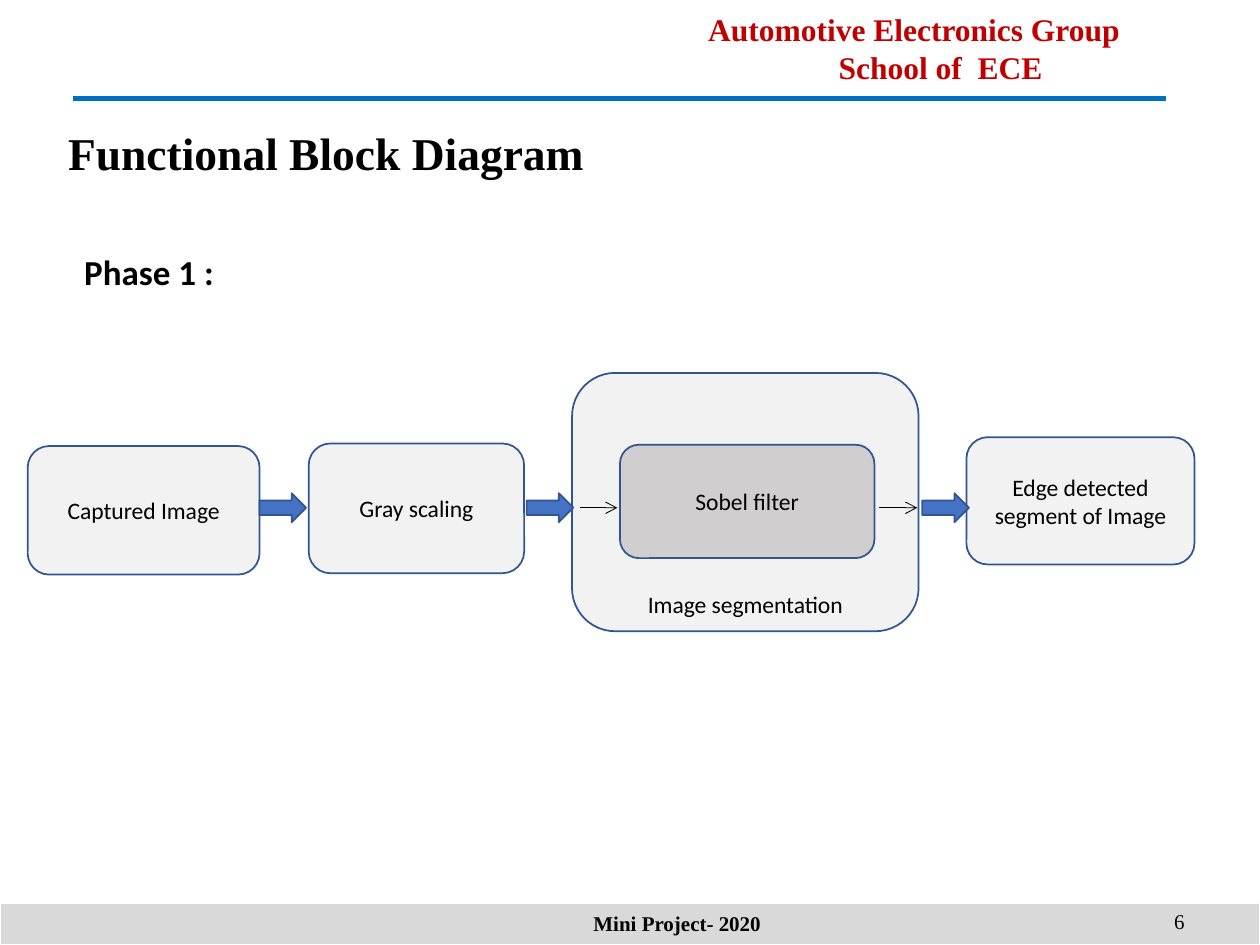
from pptx import Presentation
from pptx.dml.color import RGBColor
from pptx.enum.shapes import MSO_CONNECTOR, MSO_SHAPE
from pptx.enum.text import MSO_ANCHOR, PP_ALIGN
from pptx.oxml.ns import qn
from pptx.util import Inches, Pt
from lxml import etree

LEFT, MID, RIGHT = PP_ALIGN.LEFT, PP_ALIGN.CENTER, PP_ALIGN.RIGHT
TOP, CENTER, BASE = MSO_ANCHOR.TOP, MSO_ANCHOR.MIDDLE, MSO_ANCHOR.BOTTOM
RECT, ROUND, ARROW = MSO_SHAPE.RECTANGLE, MSO_SHAPE.ROUNDED_RECTANGLE, MSO_SHAPE.RIGHT_ARROW
STRAIGHT = MSO_CONNECTOR.STRAIGHT

WIDE, HIGH = 10, 7.5
SERIF, SANS = "Times New Roman", "Calibri"
BLACK, RED, BLUE = "000000", "C00000", "0070C0"
PALE, GRAY, EDGE = "F2F2F2", "D0CECE", "325491"
FLOW = 4.03  # height of the line along which the arrows run

# text, box, font, size, colour, bold, alignment, anchor, wrap
LABELS = [
    (["Automotive Electronics Group", "School of  ECE"], (5.17, 0.03, 4.17, 0.69),
     SERIF, 18, RED, True, MID, TOP, True),
    (["Mini Project- 2020"], (3.54, 7.13, 3.67, 0.4), SERIF, 12, BLACK, True, MID, CENTER, True),
    (["6"], (7.25, 7.11, 2.25, 0.4), SERIF, 12, BLACK, False, RIGHT, CENTER, True),
    (["Functional Block Diagram"], (0.42, 0.94, 4.34, 0.54),
     SERIF, 26, BLACK, True, MID, TOP, False),
    (["Phase 1 :"], (0.57, 1.94, 2.45, 0.44), SANS, 20, BLACK, True, LEFT, TOP, True),
]
# text, box, fill, anchor
BLOCKS = [
    ("Captured Image", (0.22, 3.54, 1.84, 1.02), PALE, CENTER),
    ("Gray scaling", (2.45, 3.52, 1.71, 1.03), PALE, CENTER),
    ("Image segmentation", (4.54, 2.96, 2.75, 2.05), PALE, BASE),
    ("Sobel filter", (4.92, 3.53, 2.02, 0.9), GRAY, CENTER),
    ("Edge detected segment of Image", (7.67, 3.47, 1.81, 1.01), PALE, CENTER),
]
ARROWS = [2.06, 4.18, 7.32]  # left ends of the block arrows
LINKS = [4.6, 6.98]          # left ends of the thin arrows


def tint(code):
    return RGBColor.from_string(code)


def write(frame, lines, font, size, color, bold, align, anchor, wrap=True):
    frame.word_wrap = wrap
    frame.vertical_anchor = anchor
    for i, line in enumerate(lines):
        para = frame.paragraphs[0] if i == 0 else frame.add_paragraph()
        para.alignment = align
        run = para.add_run()
        run.text = line
        run.font.name, run.font.size, run.font.bold = font, Pt(size), bold
        run.font.color.rgb = tint(color)


def draw(kind, box, fill, edge, width=1):
    shape = slide.shapes.add_shape(kind, *map(Inches, box))
    shape.shadow.inherit = False
    shape.fill.solid()
    shape.fill.fore_color.rgb = tint(fill)
    shape.line.color.rgb = tint(edge)
    shape.line.width = Pt(width)
    return shape


def rule(left, right, y, color, width, head=False):
    """Draw a level line, with an open arrowhead at its right end if asked."""
    line = slide.shapes.add_connector(STRAIGHT, *map(Inches, (left, y, right, y)))
    line.line.color.rgb = tint(color)
    line.line.width = Pt(width)
    if head:
        etree.SubElement(line.line._get_or_add_ln(), qn("a:tailEnd"), type="arrow")
    etree.SubElement(line._element.spPr, qn("a:effectLst"))


deck = Presentation()
deck.slide_width, deck.slide_height = Inches(WIDE), Inches(HIGH)
slide = deck.slides.add_slide(deck.slide_layouts[6])

rule(0.58, 9.25, 0.78, BLUE, 3)
draw(RECT, (0, 7.17, WIDE, HIGH - 7.17), "D9D9D9", "FFFFFF", 0.5)

for lines, box, *style in LABELS:
    frame = slide.shapes.add_textbox(*map(Inches, box)).text_frame
    write(frame, lines, *style)
    for para in frame.paragraphs[1:]:  # the school sits right of centre
        para._p.get_or_add_pPr().set("marL", str(Inches(0.42)))

for name, box, fill, anchor in BLOCKS:
    frame = draw(ROUND, box, fill, EDGE).text_frame
    write(frame, [name], SANS, 13.5, BLACK, False, MID, anchor)
    if anchor == BASE:
        frame.margin_bottom = 0

for left in ARROWS:
    draw(ARROW, (left, FLOW - 0.115, 0.37, 0.23), "4472C4", EDGE)
for left in LINKS:
    rule(left, left + 0.3, FLOW, BLACK, 0.5, head=True)

deck.save("out.pptx")
